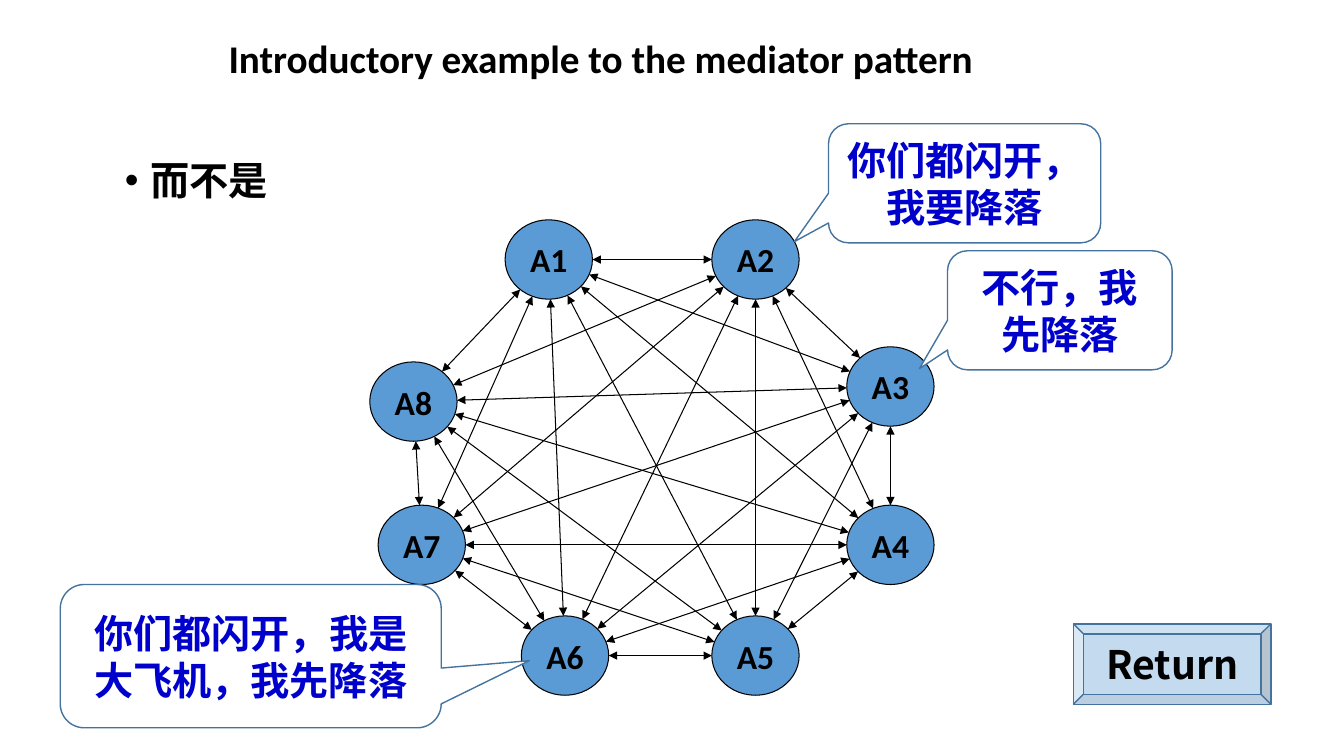
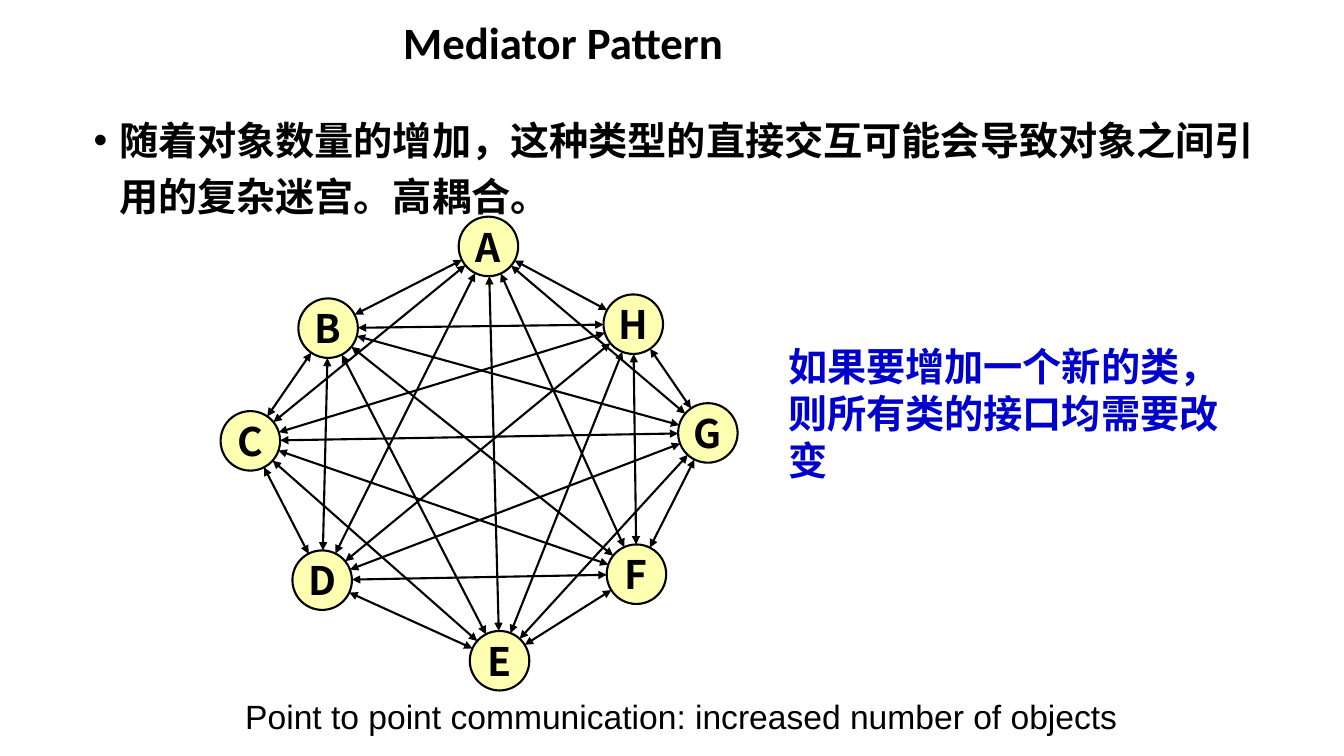
from itertools import combinations
from math import hypot

from lxml.etree import SubElement
from pptx import Presentation
from pptx.dml.color import RGBColor
from pptx.enum.shapes import MSO_CONNECTOR, MSO_SHAPE
from pptx.enum.text import MSO_ANCHOR, PP_ALIGN
from pptx.oxml.ns import qn
from pptx.util import Cm, Pt

BLACK = RGBColor(0, 0, 0)
WHITE = RGBColor(255, 255, 255)
BLUE = RGBColor(0x5B, 0x9B, 0xD5)
EDGE_BLUE = RGBColor(0x43, 0x73, 0x9E)
SPEECH_BLUE = RGBColor(0, 0, 0xCC)
YELLOW = RGBColor(255, 255, 0)
LATIN = "Calibri"
CHINESE = "Noto Sans CJK SC"

TITLE = {"size": 28, "name": LATIN, "bold": True, "color": BLACK}
BODY = {**TITLE, "name": CHINESE}
SPEECH = {**BODY, "color": SPEECH_BLUE}
CAPTION = {"size": 24, "name": "Arial", "bold": False, "color": BLACK}

AIRCRAFT = {
    "centers": {
        "A1": (13.83, 6.54), "A2": (19.04, 6.54),
        "A3": (22.44, 9.74), "A4": (22.44, 13.73),
        "A5": (19.04, 16.52), "A6": (14.24, 16.52),
        "A7": (10.63, 13.73), "A8": (10.42, 10.12),
    },
    "radii": (1.1, 1),
    "font": {**TITLE, "size": 24},
    "style": {"fill": BLUE, "edge": BLACK, "width": 0.75},
}

OBJECTS = {
    "centers": {
        "A": (12.31, 6.21), "B": (8.27, 8.27), "C": (6.31, 11.11), "D": (8.12, 14.62),
        "E": (12.59, 16.65), "F": (16.04, 14.47), "G": (17.84, 10.91), "H": (15.96, 8.17),
    },
    "radii": (0.75, 0.75),
    "font": BODY,
    "style": {"fill": YELLOW, "edge": BLACK, "width": 1.5, "alpha": 30},
}

CALLOUT_STYLE = {"fill": WHITE, "edge": EDGE_BLUE, "width": 1}
BUTTON_STYLE = {"fill": BLUE, "edge": EDGE_BLUE, "width": 1, "alpha": 36}
CALLOUT_CORNER = 0.167
CALLOUTS = [
    {"speaker": "A2", "tip_offset": (0.98, -0.45), "area": (20.88, 3.12, 6.86, 3),
     "lines": ["你们都闪开，", "我要降落"]},
    {"speaker": "A3", "tip_offset": (0.73, -0.45), "area": (23.88, 6.32, 5.66, 3),
     "lines": ["不行，我", "先降落"]},
    {"speaker": "A6", "tip_offset": (-0.9, 0.13), "area": (1.52, 14.73, 9.6, 3.61),
     "lines": ["你们都闪开，我是大飞机，我先降落"]},
]


def add_bullet(para):
    properties = para._p.get_or_add_pPr()
    properties.set("marL", str(Cm(0.64)))
    properties.set("indent", str(-Cm(0.64)))
    SubElement(properties, qn("a:buFont"), typeface="Arial")
    SubElement(properties, qn("a:buChar"), char="•")


def style_span(span, font):
    values = {"size": Pt(font["size"]), "name": font["name"], "bold": font["bold"]}
    for name, value in values.items():
        setattr(span.font, name, value)
    span.font.color.rgb = font["color"]
    SubElement(span._r.get_or_add_rPr(), qn("a:ea"), typeface=font["name"])


def write(box, lines, font, align=PP_ALIGN.LEFT, spacing=1.0, bullet=False, **frame_format):
    frame = box.text_frame
    for name, value in {"word_wrap": True, **frame_format}.items():
        setattr(frame, name, value)
    for index, line in enumerate(lines):
        para = frame.add_paragraph() if index else frame.paragraphs[0]
        para.alignment, para.line_spacing = align, spacing
        if bullet:
            add_bullet(para)
        span = para.add_run()
        span.text = line
        style_span(span, font)


def add_text(page, area, text, font, **layout):
    box = page.shapes.add_textbox(*map(Cm, area))
    write(box, [text], font, **layout)


def add_title(page, area, text, size):
    add_text(page, area, text, {**TITLE, "size": size}, spacing=0.9,
             vertical_anchor=MSO_ANCHOR.MIDDLE)


def paint(shape, fill, edge, width, alpha=100):
    shape.shadow.inherit = False
    shape.fill.solid()
    shape.fill.fore_color.rgb = fill
    if alpha < 100:
        color = shape._element.spPr.find(qn("a:solidFill"))[0]
        SubElement(color, qn("a:alpha"), val=str(alpha * 1000))
    shape.line.color.rgb = edge
    shape.line.width = Pt(width)


def add_figure(page, kind, area, lines, font, style, wrap=True):
    shape = page.shapes.add_shape(kind, *map(Cm, area))
    paint(shape, **style)
    write(shape, lines, font, PP_ALIGN.CENTER, word_wrap=wrap, vertical_anchor=MSO_ANCHOR.MIDDLE)
    return shape


def rim_point(center, target, radii):
    across, down = target[0] - center[0], target[1] - center[1]
    reach = 1 / hypot(across / radii[0], down / radii[1])
    return center[0] + across * reach, center[1] + down * reach


def add_arrow(page, start, end, width):
    arrow = page.shapes.add_connector(MSO_CONNECTOR.STRAIGHT, *map(Cm, start + end))
    arrow.line.color.rgb = BLACK
    arrow.line.width = Pt(width)
    for tip in ("a:headEnd", "a:tailEnd"):
        SubElement(arrow.line._get_or_add_ln(), qn(tip), type="triangle")
    SubElement(arrow._element.spPr, qn("a:effectLst"))


def add_network(page, network):
    radii, centers = network["radii"], network["centers"]
    for label, (x, y) in centers.items():
        area = (x - radii[0], y - radii[1], 2 * radii[0], 2 * radii[1])
        add_figure(page, MSO_SHAPE.OVAL, area, [label], network["font"], network["style"], wrap=False)
    for first, second in combinations(centers.values(), 2):
        add_arrow(page, rim_point(first, second, radii), rim_point(second, first, radii),
                  network["style"]["width"])


def add_callout(page, speaker, tip_offset, area, lines):
    shape = add_figure(page, MSO_SHAPE.ROUNDED_RECTANGULAR_CALLOUT, area, lines, SPEECH, CALLOUT_STYLE)
    left_top, size = area[:2], area[2:]
    for axis, center in enumerate(AIRCRAFT["centers"][speaker]):
        tip = center + tip_offset[axis]
        shape.adjustments[axis] = (tip - left_top[axis]) / size[axis] - 0.5
    shape.adjustments[2] = CALLOUT_CORNER


def add_page(deck):
    page = deck.slides.add_slide(deck.slide_layouts[6])
    page.background.fill.solid()
    page.background.fill.fore_color.rgb = WHITE
    return page


def build_example(deck):
    page = add_page(deck)
    add_text(page, (2.9, 3.94, 5.03, 1.68), "而不是", BODY, spacing=0.9, bullet=True)
    add_network(page, AIRCRAFT)
    add_title(page, (5.51, 0.76, 22.86, 1.55), "Introductory example to the mediator pattern", 28)
    for callout in CALLOUTS:
        add_callout(page, **callout)
    add_figure(page, MSO_SHAPE.BEVEL, (27.05, 15.72, 4.98, 2.03), ["Return"], BODY, BUTTON_STYLE)


def build_pattern(deck):
    page = add_page(deck)
    add_title(page, (9.91, 0.33, 13.23, 1.6), "Mediator Pattern", 32)
    add_text(page, (2.36, 2.57, 29.87, 3.2),
             "随着对象数量的增加，这种类型的直接交互可能会导致对象之间引用的复杂迷宫。高耦合。",
             BODY, spacing=1.2, bullet=True, margin_left=0, margin_right=0)
    add_network(page, OBJECTS)
    add_text(page, (5.74, 17.53, 22.86, 1.19),
             "Point to point communication: increased number of objects",
             CAPTION, align=PP_ALIGN.CENTER, spacing=0.9)
    add_text(page, (19.61, 8.51, 11.53, 3.84),
             "如果要增加一个新的类，则所有类的接口均需要改变", SPEECH)


def main():
    deck = Presentation()
    deck.slide_width, deck.slide_height = Cm(33.87), Cm(19.05)
    build_example(deck)
    build_pattern(deck)
    deck.save("out.pptx")


if __name__ == "__main__":
    main()
